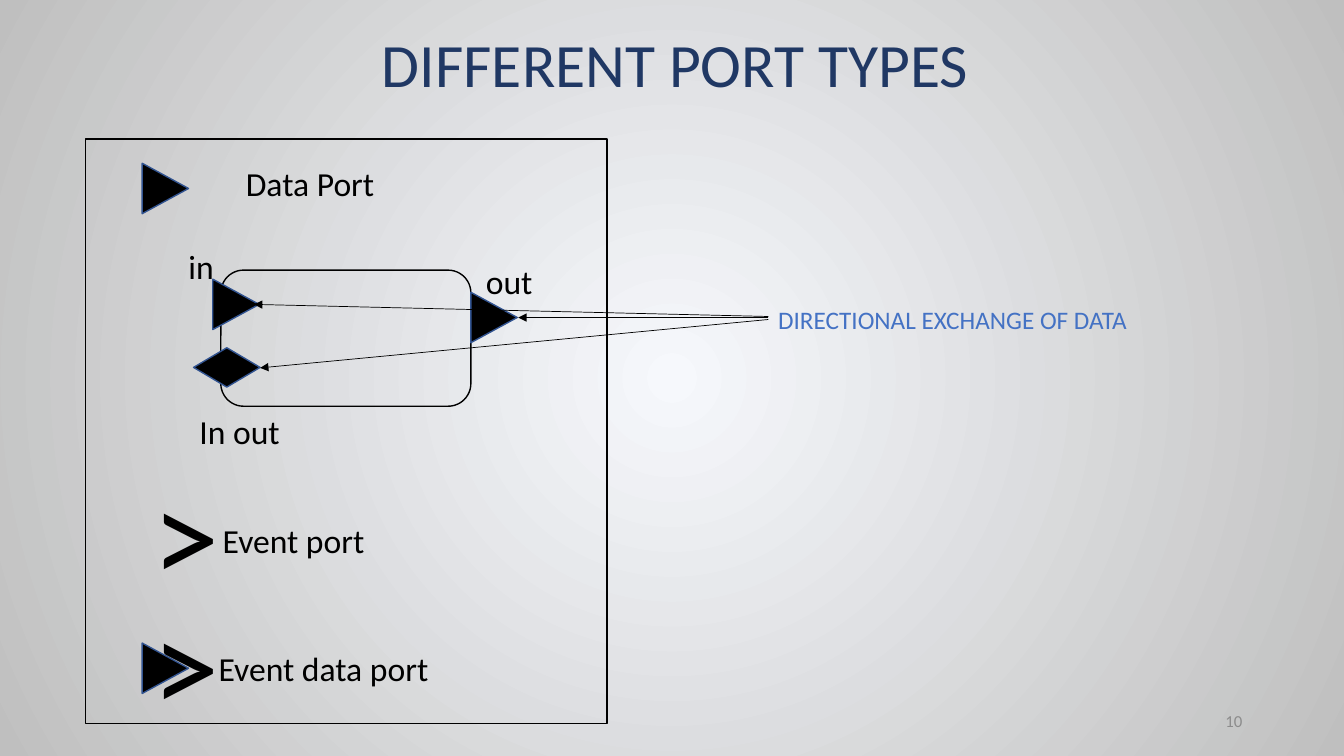
from lxml import etree
from pptx import Presentation
from pptx.dml.color import RGBColor
from pptx.enum.shapes import MSO_CONNECTOR, MSO_SHAPE
from pptx.enum.text import MSO_ANCHOR, MSO_AUTO_SIZE, PP_ALIGN
from pptx.oxml.ns import qn
from pptx.util import Inches, Pt

COLORS = {
    "black": "000000",
    "port_edge": "325491",
    "title": "203864",
    "note": "4472C4",
    "number": "8C8C8C",
    "center": "F6F8FC",
    "rim": "BFBFBF",
}
TRIANGLE_SIZE = (0.5, 0.46)


def color(name):
    return RGBColor.from_string(COLORS[name])


def set_background(slide):
    fill = slide.background.fill
    fill.gradient()
    for stop, position, name in zip(fill.gradient_stops, (0, 1), ("center", "rim")):
        stop.position = position
        stop.color.rgb = color(name)
    # Turn the linear gradient into a circular one
    gradient = slide.element.find(".//" + qn("a:gradFill"))
    gradient.remove(gradient.find(qn("a:lin")))
    circle = etree.SubElement(gradient, qn("a:path"), {"path": "circle"})
    sides = {side: "50000" for side in "ltrb"}
    etree.SubElement(circle, qn("a:fillToRect"), sides)


def add_text(slide, text, left, top, width, height, size=24, name="black",
             align=PP_ALIGN.LEFT, anchor=MSO_ANCHOR.TOP,
             auto_size=MSO_AUTO_SIZE.SHAPE_TO_FIT_TEXT):
    box = slide.shapes.add_textbox(Inches(left), Inches(top), Inches(width), Inches(height))
    frame = box.text_frame
    frame.word_wrap = True
    frame.auto_size = auto_size
    frame.vertical_anchor = anchor
    paragraph = frame.paragraphs[0]
    paragraph.alignment = align
    run = paragraph.add_run()
    run.text = text
    run.font.name = "Calibri"
    run.font.size = Pt(size)
    run.font.color.rgb = color(name)


def add_figure(slide, kind, left, top, width, height, fill=None, line="black"):
    shape = slide.shapes.add_shape(
        kind, Inches(left), Inches(top), Inches(width), Inches(height))
    shape.shadow.inherit = False
    if fill:
        shape.fill.solid()
        shape.fill.fore_color.rgb = color(fill)
    else:
        shape.fill.background()
    shape.line.color.rgb = color(line)
    shape.line.width = Pt(1)
    return shape


def add_data_port(slide, left, top):
    triangle = add_figure(slide, MSO_SHAPE.ISOSCELES_TRIANGLE, left, top,
                          *TRIANGLE_SIZE, fill="black", line="port_edge")
    triangle.rotation = 90


def add_arrow(slide, start, end):
    arrow = slide.shapes.add_connector(
        MSO_CONNECTOR.STRAIGHT, *(Inches(value) for value in start + end))
    arrow.line.color.rgb = color("black")
    arrow.line.width = Pt(0.5)
    etree.SubElement(arrow.line._get_or_add_ln(), qn("a:tailEnd"), {"type": "triangle"})
    etree.SubElement(arrow._element.spPr, qn("a:effectLst"))


def main():
    presentation = Presentation()
    presentation.slide_width = Inches(13.33)
    presentation.slide_height = Inches(7.5)
    slide = presentation.slides.add_slide(presentation.slide_layouts[6])
    set_background(slide)

    # Title and legend frame
    add_text(slide, "DIFFERENT PORT TYPES", 2.92, 0.21, 7.56, 0.84,
             size=44, name="title", align=PP_ALIGN.CENTER)
    add_figure(slide, MSO_SHAPE.RECTANGLE, 0.85, 1.38, 5.17, 5.8)

    # Component with its in, out and in-out ports
    add_figure(slide, MSO_SHAPE.ROUNDED_RECTANGLE, 2.19, 2.68, 2.48, 1.35)
    add_figure(slide, MSO_SHAPE.DIAMOND, 1.92, 3.45, 0.66, 0.39,
               fill="black", line="port_edge")

    # Data port triangles: legend, in, out, event data
    for left, top in ((1.39, 1.64), (2.09, 2.79), (4.65, 2.92), (1.39, 6.4)):
        add_data_port(slide, left, top)

    # Event port symbols
    for top, width in ((4.42, 1.02), (5.71, 0.77)):
        add_text(slide, ">", 1.41, top, width, 1.72, size=96)

    # Labels
    add_text(slide, "in", 1.6, 2.39, 0.79, 0.5, align=PP_ALIGN.CENTER)
    for label, left, top, width in (
        ("Data Port", 2.34, 1.57, 2.73),
        ("out", 4.72, 2.54, 1.08),
        ("In out", 1.88, 4.03, 1.05),
        ("Event port", 2.11, 5.11, 2.79),
        ("Event data port", 2.07, 6.38, 2.8),
    ):
        add_text(slide, label, left, top, width, 0.5)

    # Note with arrows to the three ports
    add_text(slide, "DIRECTIONAL EXCHANGE OF DATA", 7.62, 2.97, 4.97, 0.71,
             size=18, name="note")
    for start, end in (
        ((7.62, 3.15), (5.14, 3.15)),
        ((7.62, 3.17), (2.58, 3.65)),
        ((7.62, 3.14), (2.52, 3.02)),
    ):
        add_arrow(slide, start, end)

    # Slide number
    add_text(slide, "10", 9.42, 6.95, 3, 0.4, size=12, name="number",
             align=PP_ALIGN.RIGHT, anchor=MSO_ANCHOR.MIDDLE,
             auto_size=MSO_AUTO_SIZE.NONE)

    presentation.save("out.pptx")


if __name__ == "__main__":
    main()
